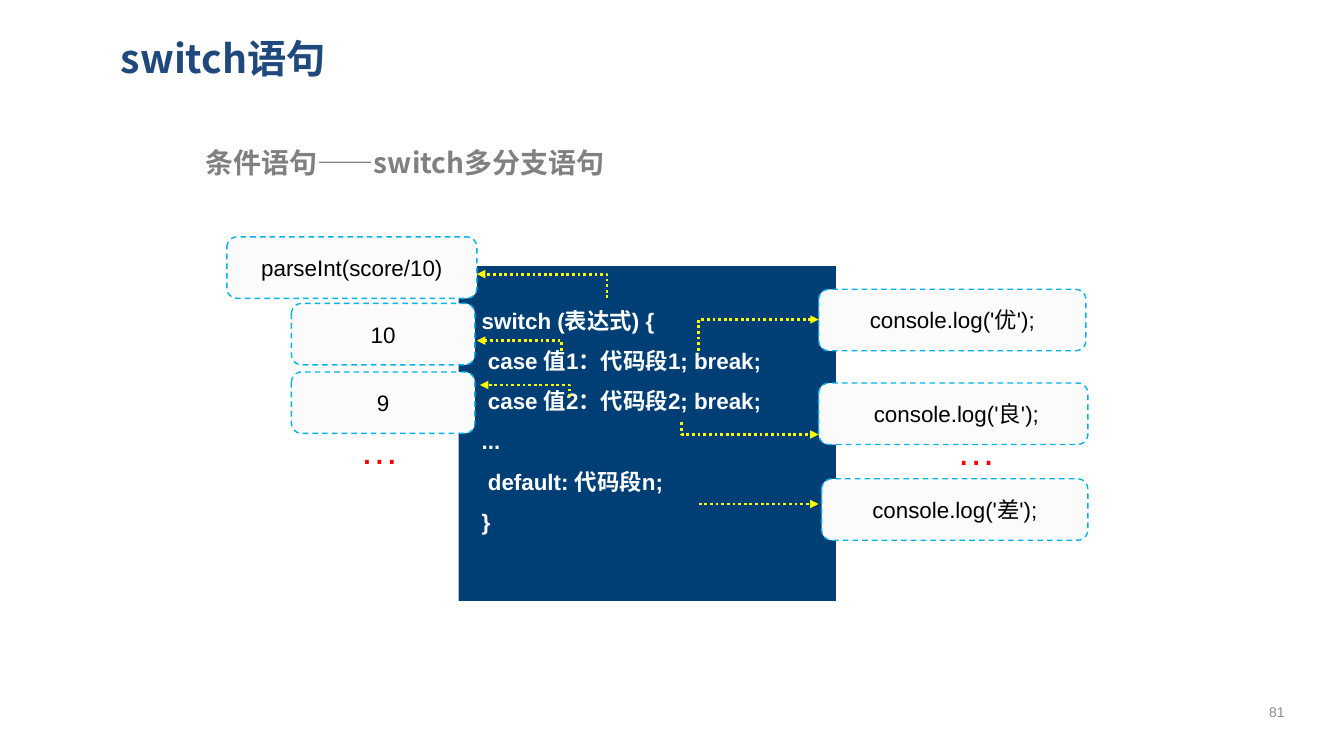
from dataclasses import dataclass
from lxml.etree import SubElement
from pptx import Presentation
from pptx.dml.color import RGBColor as RGB
from pptx.enum.dml import MSO_LINE as DASH
from pptx.enum.shapes import MSO_CONNECTOR as CONN, MSO_SHAPE as SHAPE
from pptx.enum.text import MSO_ANCHOR as ANCHOR, PP_ALIGN as ALIGN
from pptx.oxml.ns import qn
from pptx.util import Inches, Pt


@dataclass(frozen=True)
class Theme:
    latin: str = "Arial"
    cjk: str = "Noto Sans CJK SC"
    title: str = "1F497D"
    grey: str = "808080"
    navy: str = "003F75"
    white: str = "FFFFFF"
    black: str = "000000"
    pale: str = "FBFBFB"
    cyan: str = "00B4E9"
    yellow: str = "FFFF00"
    red: str = "FF0000"
    number: str = "8C8C8C"
    sz_title: int = 28
    sz_sub: int = 20
    sz_body: int = 16
    sz_number: int = 10


class Board:
    """Draws styled elements on one slide."""

    def __init__(self, slide, theme):
        self.s, self.t = slide, theme

    def fill_text(self, sp, lines, size, color, font=None, bold=False,
                  align=ALIGN.LEFT, anchor=ANCHOR.TOP, spacing=1.0, wrap=True):
        tf = sp.text_frame
        for name, value in {"word_wrap": wrap, "vertical_anchor": anchor}.items():
            setattr(tf, name, value)
        for i, line in enumerate(lines):
            p = tf.add_paragraph() if i else tf.paragraphs[0]
            p.alignment, p.line_spacing = align, spacing
            r = p.add_run()
            r.text = line
            fmt = {"name": font or self.t.latin, "size": Pt(size), "bold": bold}
            for name, value in fmt.items():
                setattr(r.font, name, value)
            r.font.color.rgb = RGB.from_string(color)
            SubElement(r.font._element, qn("a:ea"), typeface=self.t.cjk)

    def text(self, box, lines, size, color, **fmt):
        sp = self.s.shapes.add_textbox(*map(Inches, box))
        self.fill_text(sp, lines, size, color, **fmt)

    def shape(self, kind, box, fill):
        sp = self.s.shapes.add_shape(kind, *map(Inches, box))
        sp.shadow.inherit = False
        sp.fill.solid()
        sp.fill.fore_color.rgb = RGB.from_string(fill)
        sp.line.fill.background()
        return sp

    def stroke(self, line, color, width, dash):
        line.color.rgb = RGB.from_string(color)
        for name, value in {"width": Pt(width), "dash_style": dash}.items():
            setattr(line, name, value)

    def callout(self, box, label):
        sp = self.shape(SHAPE.ROUNDED_RECTANGLE, box, self.t.pale)
        self.stroke(sp.line, self.t.cyan, 1, DASH.DASH)
        self.fill_text(sp, [label], self.t.sz_body, self.t.black,
                       align=ALIGN.CENTER, anchor=ANCHOR.MIDDLE)

    def arrow(self, start, end):
        bent = start[1] != end[1]
        kind = CONN.ELBOW if bent else CONN.STRAIGHT
        cx = self.s.shapes.add_connector(kind, *map(Inches, start + end))
        self.stroke(cx.line, self.t.yellow, 2, DASH.ROUND_DOT)
        pr = cx._element.spPr
        # The elbow turns right at the start point
        if bent:
            av = pr.find(qn("a:prstGeom")).get_or_add_avLst()
            SubElement(av, qn("a:gd"), name="adj1", fmla="val 0")
        SubElement(pr.find(qn("a:ln")), qn("a:tailEnd"), type="triangle")
        SubElement(pr, qn("a:effectLst"))


def main():
    prs = Presentation()
    prs.slide_width, prs.slide_height = Inches(13.33), Inches(7.5)
    t = Theme()
    b = Board(prs.slides.add_slide(prs.slide_layouts[6]), t)

    # Headings
    b.text((1.1, 0.24, 11.65, 0.67), ["switch语句"], t.sz_title, t.title,
           font=t.cjk, bold=True, anchor=ANCHOR.MIDDLE)
    b.text((1.94, 1.39, 9.22, 0.44), ["条件语句——switch多分支语句"], t.sz_sub,
           t.grey, font=t.cjk, bold=True)

    # Code panel
    b.shape(SHAPE.RECTANGLE, (4.55, 2.64, 3.74, 3.32), t.navy)
    code = ["switch (表达式) {", " case 值1：代码段1; break;",
            " case 值2：代码段2; break;", "...", " default: 代码段n;", "}"]
    b.text((4.68, 2.86, 3.53, 2.15), code, t.sz_body, t.white,
           bold=True, spacing=1.5)

    # Example values on the left, outputs on the right
    for x, y, w, label in [
        (2.25, 2.35, 2.48, "parseInt(score/10)"),
        (2.89, 3.01, 1.82, "10"),
        (2.89, 3.69, 1.82, "9"),
        (8.12, 2.87, 2.65, "console.log('优');"),
        (8.12, 3.8, 2.67, " console.log('良');"),
        (8.15, 4.75, 2.64, "console.log('差');"),
    ]:
        b.callout((x, y, w, 0.61), label)
    for x, y in [(3.47, 4.17), (9.39, 4.18)]:
        b.text((x, y, 0.6, 0.57), ["…"], t.sz_title, t.red, wrap=False)

    # Arrows from the code to its examples
    for start, end in [
        ((6.02, 2.96), (4.73, 2.72)),
        ((5.57, 3.48), (4.73, 3.38)),
        ((5.65, 3.94), (4.76, 3.82)),
        ((6.93, 3.48), (8.12, 3.17)),
        ((6.76, 4.19), (8.12, 4.31)),
        ((6.93, 5), (8.12, 5)),
    ]:
        b.arrow(start, end)

    # Page number
    b.text((12.34, 6.86, 0.65, 0.4), ["81"], t.sz_number, t.number,
           align=ALIGN.CENTER, anchor=ANCHOR.MIDDLE)

    prs.save("out.pptx")


if __name__ == "__main__":
    main()
